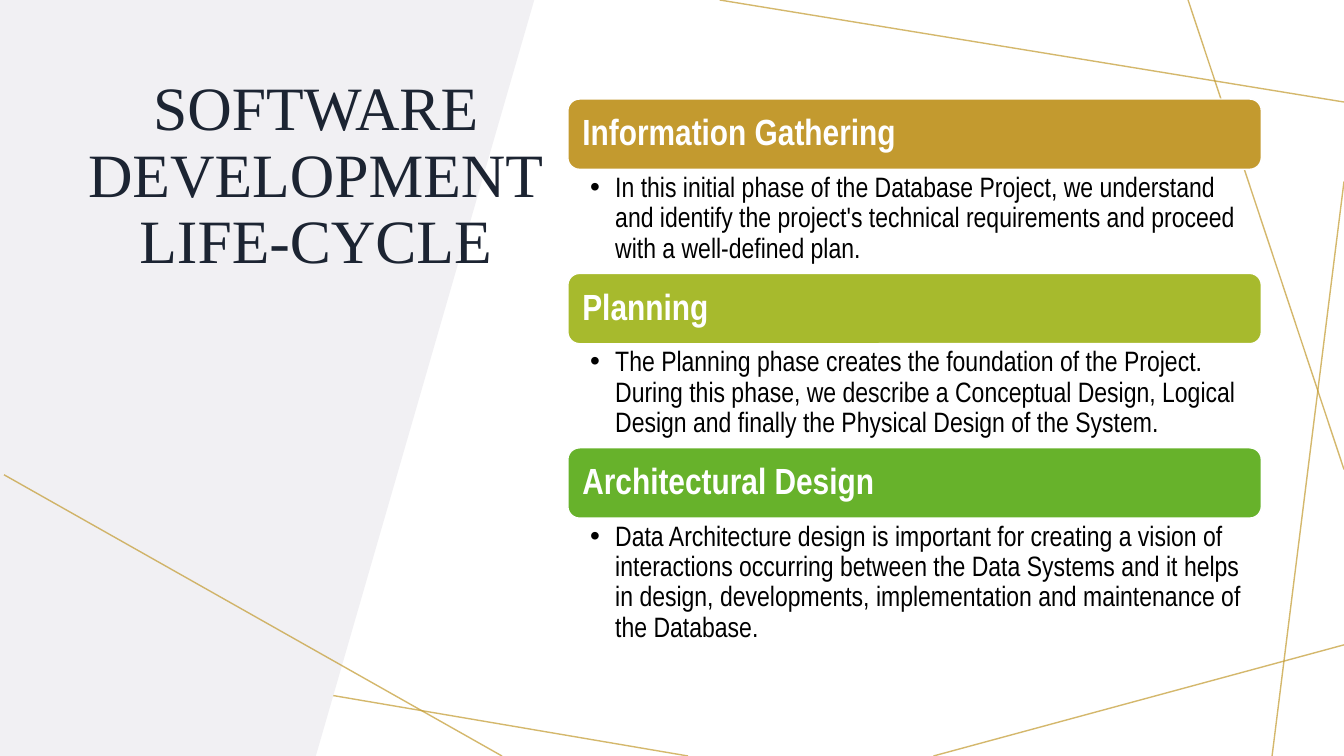
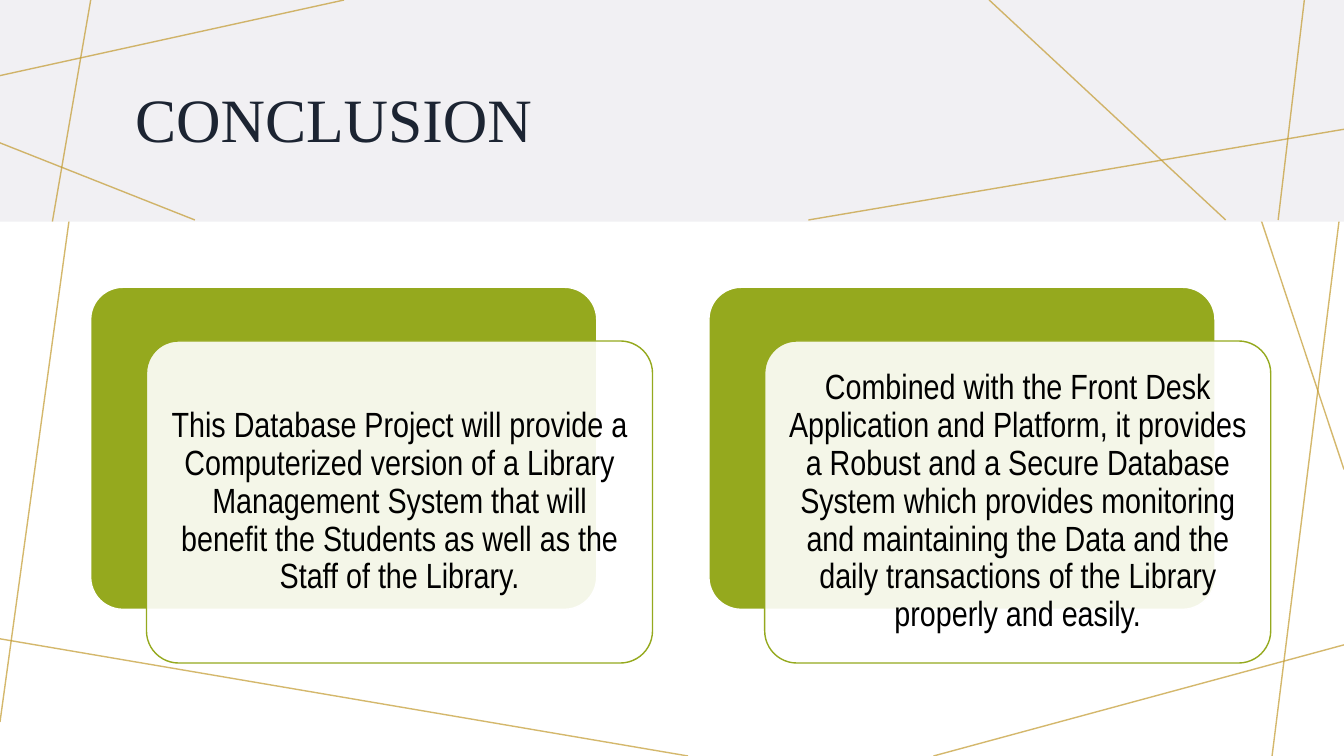
from itertools import cycle
from lxml.etree import SubElement
from pptx import Presentation
from pptx.dml.color import RGBColor
from pptx.enum.shapes import MSO_CONNECTOR, MSO_SHAPE
from pptx.enum.text import MSO_ANCHOR, MSO_AUTO_SIZE, PP_ALIGN
from pptx.oxml.ns import qn
from pptx.util import Inches, Pt

HUES = {
    "gold": "C39A2F", "lime": "A7BA2D", "green": "67B22B", "olive": "95A91E",
    "pale": "F1F0F3", "ink": "1C2432", "black": "000000", "white": "FFFFFF",
}
TINTS = {name: RGBColor.from_string(code) for name, code in HUES.items()}
SERIF, SANS = "Times New Roman", "Arial Narrow"

deck = Presentation()
deck.slide_width, deck.slide_height = Inches(13.33), Inches(7.5)
COL, ROW = deck.slide_width / 100, deck.slide_height / 100


def grid(*cells):
    return [round(cell * unit) for cell, unit in zip(cells, cycle((COL, ROW)))]


def write(shape, text, size, font, tint, align, anchor, pads=(0.1, 0.05, 0.1, 0.05), bold=False):
    frame = shape.text_frame
    frame.text = text
    frame.word_wrap = True
    frame.auto_size = MSO_AUTO_SIZE.NONE
    frame.vertical_anchor = anchor
    frame.margin_left, frame.margin_top, frame.margin_right, frame.margin_bottom = map(Inches, pads)
    para = frame.paragraphs[0]
    para.alignment = align
    para.line_spacing = 0.9
    for run in para.runs:
        run.font.size, run.font.name, run.font.bold = Pt(size), font, bold
        run.font.color.rgb = TINTS[tint]
    return para


steps, close = [deck.slides.add_slide(deck.slide_layouts[5]) for _ in range(2)]

pen = steps.shapes.build_freeform(*grid(23.5, 100), scale=1.0)
pen.add_line_segments([grid(0, 100), grid(0, 0), grid(39.75, 0)], close=True)
panel = pen.convert_to_shape()
band = close.shapes.add_shape(MSO_SHAPE.RECTANGLE, *grid(0, 0, 100, 29.33))
for ground in (panel, band):
    ground.shadow.inherit = False
    ground.fill.solid()
    ground.fill.fore_color.rgb = TINTS["pale"]
    ground.line.fill.background()

strokes = [
    (steps, deck.slide_master, [
        (25.6, 0, 0, 10), (7.4, 0, 0, 95.5), (51.2, 100, 0, 84.5),
        (100, 85.3, 69.45, 100), (100, 24, 94.65, 100),
        (100, 62.1, 88.4, 0), (100, 13.5, 53.55, 0),
    ]),
    (steps, steps, [(0.3, 62.8, 37.35, 100)]),
    (close, close, [
        (25.6, 0, 0, 10), (6.75, 0, 3.9, 29.3), (14.5, 29.1, 0, 18.9),
        (100, 17.1, 60.15, 29.1), (91.2, 29.1, 73.6, 0), (97.8, -0.0, 95.1, 29.1),
    ]),
]
strokes[2][2][-1] = (97.05, 0, 95.1, 29.1)
for slide, host, ends in strokes:
    tree = host.shapes.element
    for end in ends:
        line = slide.shapes.add_connector(MSO_CONNECTOR.STRAIGHT, *grid(*end))
        line.line.width = Pt(1)
        line.line.color.rgb = TINTS["gold"]
        props = line.element.spPr
        SubElement(props.find(".//" + qn("a:srgbClr")), qn("a:alpha"), val="70000")
        SubElement(props, qn("a:effectLst"))
        line.element.nvCxnSpPr.cNvPr.id = len(tree) + 20
        tree.append(line.element)

titles = [
    (steps, "SOFTWARE DEVELOPMENT\vLIFE-CYCLE", (5.5, 9.6, 36, 52), PP_ALIGN.CENTER, MSO_ANCHOR.TOP),
    (close, "CONCLUSION", (9.3, 7.2, 82.6, 17.9), PP_ALIGN.LEFT, MSO_ANCHOR.MIDDLE),
]
for slide, text, spot, align, anchor in titles:
    title = slide.shapes.title
    title.left, title.top, title.width, title.height = grid(*spot)
    write(title, text, 44, SERIF, "ink", align, anchor)
    slide.shapes.element.append(title.element)

phases = [
    ("Information Gathering", "gold", 13.7,
     "In this initial phase of the Database Project, we understand and identify the project's "
     "technical requirements and proceed with a well-defined plan."),
    ("Planning", "lime", 13.7,
     "The Planning phase creates the foundation of the Project. During this phase, we describe a "
     "Conceptual Design, Logical Design and finally the Physical Design of the System."),
    ("Architectural Design", "green", 17.6,
     "Data Architecture design is important for creating a vision of interactions occurring between "
     "the Data Systems and it helps in design, developments, implementation and maintenance of the "
     "Database."),
]
left, wide, top, high, pitch = 42.25, 51.6, 13.1, 9.3, 23.07
for step, (head, tint, depth, text) in enumerate(phases):
    y = top + step * pitch
    bar = steps.shapes.add_shape(MSO_SHAPE.ROUNDED_RECTANGLE, *grid(left, y, wide, high))
    bar.shadow.inherit = False
    bar.fill.solid()
    bar.fill.fore_color.rgb = TINTS[tint]
    bar.line.color.rgb = TINTS["white"]
    bar.line.width = Pt(1)
    write(bar, head, 26, SANS, "white", PP_ALIGN.LEFT, MSO_ANCHOR.MIDDLE, (0.11,) * 4, True)
    note = steps.shapes.add_textbox(*grid(left, y + high, wide, depth))
    para = write(note, text, 20, SANS, "black", PP_ALIGN.LEFT, MSO_ANCHOR.TOP, (0.22, 0.04, 0.2, 0.04))
    props = para._p.get_or_add_pPr()
    props.set("marL", str(Inches(0.25)))
    props.set("indent", str(-Inches(0.25)))
    SubElement(props, qn("a:buFont"), typeface="Arial")
    SubElement(props, qn("a:buChar"), char="•")

points = [
    "This Database Project will provide a Computerized version of a Library Management System that "
    "will benefit the Students as well as the Staff of the Library.",
    "Combined with the Front Desk Application and Platform, it provides a Robust and a Secure "
    "Database System which provides monitoring and maintaining the Data and the daily transactions "
    "of the Library properly and easily.",
]
for spot, text in enumerate(points):
    x, y = 6.75 + spot * 46, 38
    layers = [(x, y, "olive", "white"), (x + 4.15, y + 7.1, "white", "olive")]
    for x, y, fill, edge in layers:
        card = close.shapes.add_shape(MSO_SHAPE.ROUNDED_RECTANGLE, *grid(x, y, 37.65, 42.6))
        card.adjustments[0] = 0.1
        card.shadow.inherit = False
        card.fill.solid()
        card.fill.fore_color.rgb = TINTS[fill]
        card.line.color.rgb = TINTS[edge]
        card.line.width = Pt(1)
    SubElement(card.element.spPr.find(".//" + qn("a:srgbClr")), qn("a:alpha"), val="90000")
    write(card, text, 25, SANS, "black", PP_ALIGN.CENTER, MSO_ANCHOR.MIDDLE, (0.1,) * 4)

deck.save("out.pptx")
